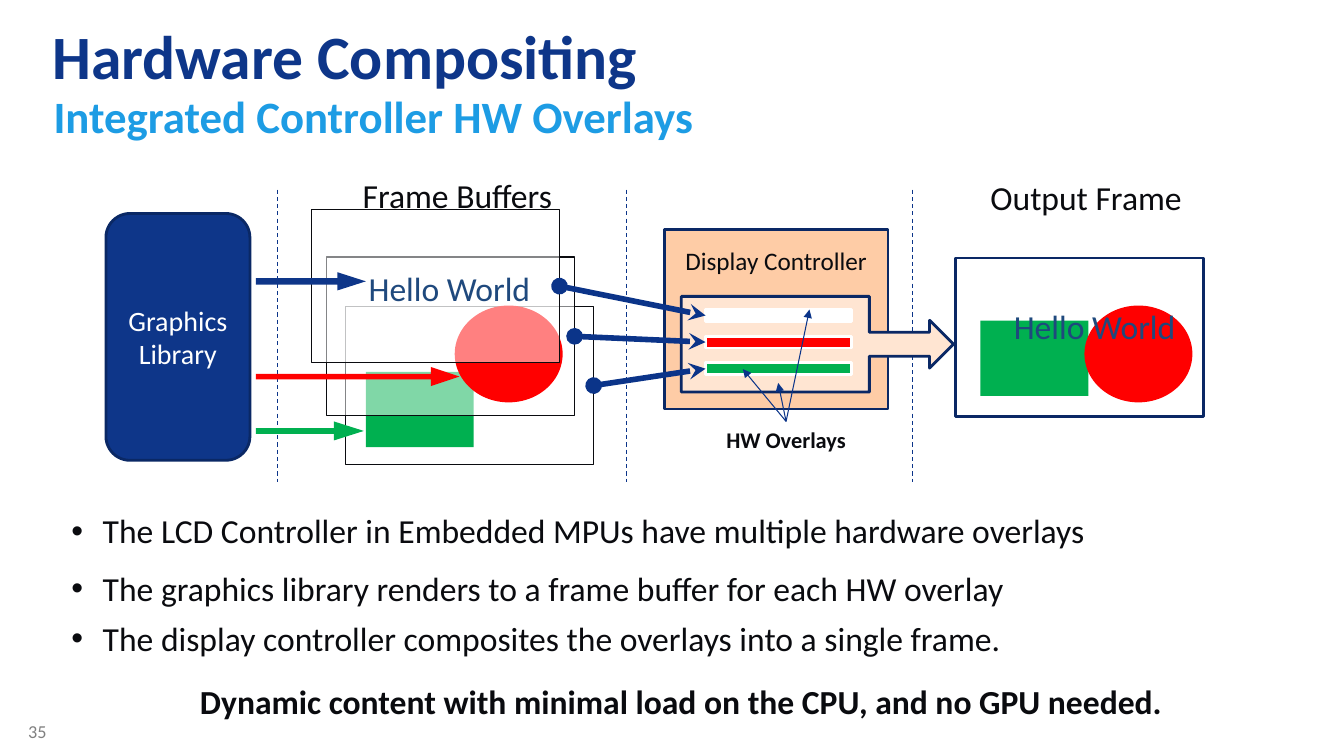
from lxml import etree
from pptx import Presentation
from pptx.dml.color import RGBColor
from pptx.enum.dml import MSO_LINE
from pptx.enum.shapes import MSO_CONNECTOR, MSO_SHAPE
from pptx.enum.text import MSO_ANCHOR, PP_ALIGN
from pptx.oxml.ns import qn
from pptx.util import Cm, Pt

RECT, ROUNDED, OVAL = MSO_SHAPE.RECTANGLE, MSO_SHAPE.ROUNDED_RECTANGLE, MSO_SHAPE.OVAL
ARROW, CALLOUT = MSO_SHAPE.RIGHT_ARROW, MSO_SHAPE.RIGHT_ARROW_CALLOUT
STRAIGHT, DASH = MSO_CONNECTOR.STRAIGHT, MSO_LINE.DASH
LEFT, CENTER = PP_ALIGN.LEFT, PP_ALIGN.CENTER
TOP, MIDDLE = MSO_ANCHOR.TOP, MSO_ANCHOR.MIDDLE
TOP_SIDE, LEFT_SIDE, RIGHT_SIDE = 0, 1, 3


class Theme:
    font = "Calibri"
    navy, edge, link, sky = "0E3689", "0A2865", "0B3489", "1D9CE4"
    ink, white, grey, hello = "0A0B0F", "FFFFFF", "808080", "1F497D"
    peach, cream, red, green = "FECCA6", "FFE5D2", "FF0000", "00B050"
    title, subtitle, body, library, controller, note, page = 44, 32, 24, 20, 18, 16, 13


# Content: lengths in cm, boxes as left, top, width, height
HEADING_INSETS = (0.33, 0.18)
TEXT_INSETS = (0.25, 0.13)
HEADINGS = [
    ("Hardware Compositing", (0.99, 0.28, 31.67, 2.16), Theme.title, Theme.navy, TOP),
    ("Integrated Controller HW Overlays", (1.02, 2.31, 31.67, 1.19),
     Theme.subtitle, Theme.sky, MIDDLE),
]
PAGE_NUMBER = ("35", (0.46, 18.03, 1.5, 1.02))
BULLETS = [
    ("The LCD Controller in Embedded MPUs have multiple hardware overlays", 12.73),
    ("The graphics library renders to a frame buffer for each HW overlay", 14.17),
    ("The display controller composites the overlays into a single frame.", 15.44),
]
CONCLUSION = ("Dynamic content with minimal load on the CPU, and no GPU needed.",
              (1.19, 16.51, 31.95, 1.63))
STAGE_LABELS = [("Frame Buffers", (8.89, 4.27, 5.33, 1.27)),
                ("Output Frame", (24.71, 4.34, 5.38, 1.27))]
GREETING = "Hello World"
GREETING_SPOTS = [(9.04, 6.63), (25.3, 7.59)]
DIVIDERS, DIVIDER_SPAN = (6.99, 15.8, 22.99), (4.78, 12.14)
LIBRARY = ("Graphics Library", (2.67, 5.38, 3.63, 6.22))
CONTROLLER = ("Display Controller", (16.74, 5.79, 5.64, 4.52))
OVERLAY_PANEL = (17.17, 7.47, 6.86, 2.41)
FRAME = (6.25, 3.99)
BLOCK = (2.72, 1.9)
DISC = (2.72, 2.44)
OUTPUT_FRAME, OUTPUT_BLOCK, OUTPUT_DISC = (24.08, 6.5), (24.71, 8.08), (27.33, 7.7)
# Front to back on screen: overlay colour; buffers are stacked in reverse
OVERLAY_COLOURS = (Theme.white, Theme.red, Theme.green)
OVERLAY_BAR, OVERLAY_PITCH = (17.78, 7.8, 3.68, 0.3), 0.67
RENDER_LEFT = 6.45
RENDER_ARROWS = [  # top, width, height, adjustments, colour
    (6.86, 2.77, 0.46, (0.349, 1.56), Theme.navy),
    (9.25, 5.13, 0.48, (0.286, 1.5), Theme.red),
    (10.62, 2.72, 0.48, (0.299, 1.577), Theme.green),
]
OVERLAY_NOTE = ("HW Overlays", (17.5, 10.62, 4.62, 0.94))
NOTE_TARGETS = [(19.61, 9.65), (20.4, 7.8), (18.72, 9.3)]

prs = Presentation()
prs.slide_width, prs.slide_height = Cm(33.87), Cm(19.05)
shapes = prs.slides.add_slide(prs.slide_layouts[6]).shapes


def apply(target, values):
    for name, value in values.items():
        setattr(target, name, value)


def write(shape, text, size, colour=Theme.ink, bold=False, align=LEFT, anchor=TOP,
          insets=TEXT_INSETS, wrap=True, spacing=None, bullet=False):
    frame = shape.text_frame
    side, edge = map(Cm, insets)
    apply(frame, {"word_wrap": wrap, "vertical_anchor": anchor, "margin_left": side,
                  "margin_right": side, "margin_top": edge, "margin_bottom": edge})
    paragraph = frame.paragraphs[0]
    apply(paragraph, {"alignment": align, "line_spacing": spacing})
    if bullet:
        properties = paragraph._p.get_or_add_pPr()
        properties.set("marL", str(Cm(0.79)))
        properties.set("indent", str(-Cm(0.79)))
        etree.SubElement(properties, qn("a:buFont")).set("typeface", "Arial")
        etree.SubElement(properties, qn("a:buChar")).set("char", "•")
    run = paragraph.add_run()
    run.text = text
    apply(run.font, {"name": Theme.font, "size": Pt(size), "bold": bold})
    run.font.color.rgb = RGBColor.from_string(colour)


def add_text(text, box, size, **style):
    label = shapes.add_textbox(*map(Cm, box))
    write(label, text, size, **style)
    return label


def add_block(kind, box, fill, line=None, width=2, adjustments=(), opacity=None):
    block = shapes.add_shape(kind, *map(Cm, box))
    block.shadow.inherit = False
    block.fill.solid()
    block.fill.fore_color.rgb = RGBColor.from_string(fill)
    if opacity:
        colour = next(block._element.spPr.iter(qn("a:srgbClr")))
        etree.SubElement(colour, qn("a:alpha")).set("val", str(opacity * 1000))
    if line:
        block.line.color.rgb = RGBColor.from_string(line)
        block.line.width = Pt(width)
    else:
        block.line.fill.background()
    for index, value in enumerate(adjustments):
        block.adjustments[index] = value
    return block


def add_line(start, end, width=0.75, dash=None, head=None, tail=None):
    line = shapes.add_connector(STRAIGHT, *map(Cm, (*start, *end)))
    line.line.color.rgb = RGBColor.from_string(Theme.link)
    apply(line.line, {"width": Pt(width), "dash_style": dash})
    for tag, kind in (("a:headEnd", head), ("a:tailEnd", tail)):
        if kind:
            etree.SubElement(line.line._get_or_add_ln(), qn(tag)).set("type", kind)
    etree.SubElement(line._element.spPr, qn("a:effectLst"))
    return line


# Headings and page number
add_text(*PAGE_NUMBER, Theme.page, colour=Theme.grey)
for text, box, size, colour, anchor in HEADINGS:
    add_text(text, box, size, colour=colour, bold=True, anchor=anchor, insets=HEADING_INSETS)

# Stage dividers
for x in DIVIDERS:
    add_line((x, DIVIDER_SPAN[0]), (x, DIVIDER_SPAN[1]), dash=DASH)

# Graphics library and display controller
library = add_block(ROUNDED, LIBRARY[1], Theme.navy, Theme.edge)
write(library, LIBRARY[0], Theme.library, Theme.white, align=CENTER, anchor=MIDDLE)
controller = add_block(RECT, CONTROLLER[1], Theme.peach, Theme.edge)
write(controller, CONTROLLER[0], Theme.controller, align=CENTER, insets=(0.25, 0.4))
add_block(CALLOUT, OVERLAY_PANEL, Theme.cream, Theme.edge,
          adjustments=(0.25, 0.25, 0.25, 0.691))

# Frame buffers, back to front, each with its content
outline = {"fill": Theme.white, "line": Theme.ink, "width": 1}
block_buffer = add_block(RECT, (8.71, 7.72, *FRAME), **outline)
add_block(RECT, (9.22, 9.37, *BLOCK), Theme.green)
disc_buffer = add_block(RECT, (8.23, 6.48, *FRAME), opacity=50, **outline)
add_block(OVAL, (11.46, 7.7, *DISC), Theme.red)
text_buffer = add_block(RECT, (7.85, 5.28, FRAME[0], 3.86), opacity=50, **outline)

# Overlays, each linked to its buffer
left, top, width, height = OVERLAY_BAR
overlays = [add_block(RECT, (left, top + row * OVERLAY_PITCH, width, height),
                      colour, Theme.white)
            for row, colour in enumerate(OVERLAY_COLOURS)]
for buffer, overlay in zip((text_buffer, disc_buffer, block_buffer), overlays):
    link = add_line((0, 0), (1, 1), width=4, head="oval", tail="stealth")
    link.begin_connect(buffer, RIGHT_SIDE)
    link.end_connect(overlay, LEFT_SIDE)

# Rendering arrows
for top, width, height, adjustments, colour in RENDER_ARROWS:
    add_block(ARROW, (RENDER_LEFT, top, width, height), colour, adjustments=adjustments)

# Output frame
add_block(RECT, (*OUTPUT_FRAME, *FRAME), Theme.white, Theme.edge)
add_block(RECT, (*OUTPUT_BLOCK, *BLOCK), Theme.green)
add_block(OVAL, (*OUTPUT_DISC, *DISC), Theme.red)

# Diagram labels
for text, box in STAGE_LABELS:
    add_text(text, box, Theme.body, wrap=False)
for spot in GREETING_SPOTS:
    add_text(GREETING, (*spot, 4.62, 1.27), Theme.body, colour=Theme.hello, wrap=False)
note = add_text(*OVERLAY_NOTE, Theme.note, bold=True, align=CENTER)
for target in NOTE_TARGETS:
    pointer = add_line((19.81, 10.62), target, tail="triangle")
    pointer.begin_connect(note, TOP_SIDE)

# Bullets and conclusion
for text, top in BULLETS:
    add_text(text, (1.55, top, 32.44, 1.27), Theme.body, bullet=True)
add_text(*CONCLUSION, Theme.body, bold=True, align=CENTER, spacing=1.5)

prs.save("out.pptx")
